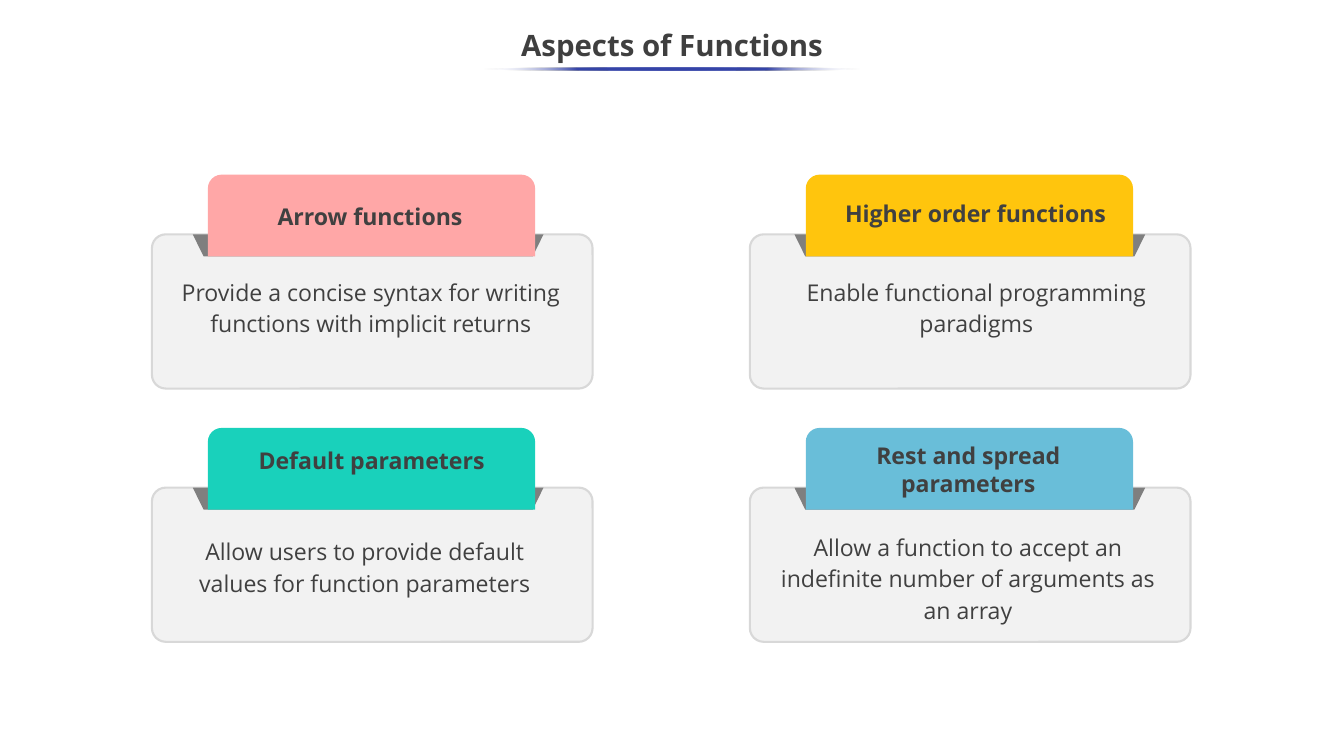
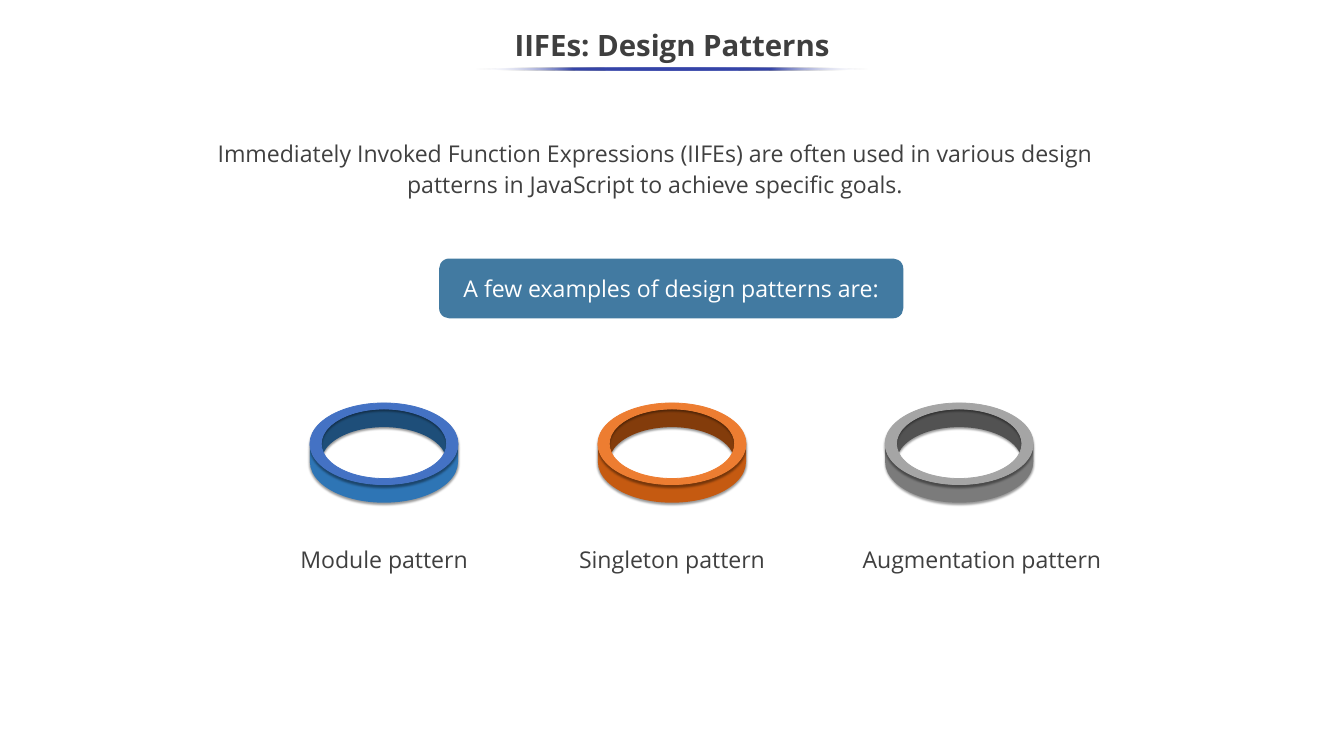
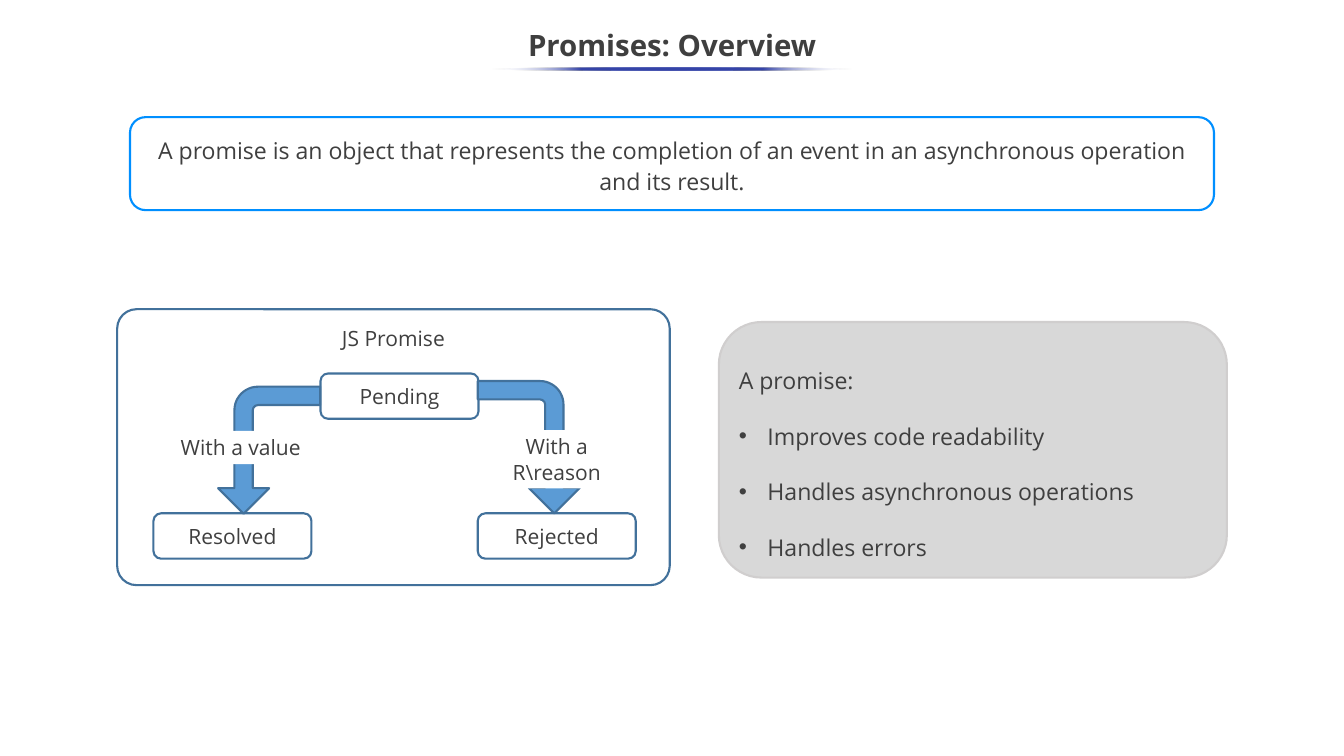
from dataclasses import dataclass
from math import cos, radians, sin

from pptx import Presentation
from pptx.dml.color import RGBColor
from pptx.enum.shapes import MSO_SHAPE
from pptx.enum.text import MSO_ANCHOR, MSO_AUTO_SIZE, PP_ALIGN
from pptx.oxml import parse_xml
from pptx.oxml.ns import nsdecls, qn
from pptx.util import Pt

PX = 9144  # EMU per px, 100 px to the inch
WIDTH, HEIGHT = 1778, 1000


@dataclass(frozen=True)
class Theme:
    font: str = "Open Sans"
    title_size: int = 28
    body_size: int = 22
    diagram_size: int = 20
    ink: str = "3F3F3F"
    soft_ink: str = "404040"
    white: str = "FFFFFF"
    underline: str = "3645A9"
    card: str = "F2F2F2"
    card_edge: str = "D8D8D8"
    fold: str = "7F7F7F"
    pink: str = "FFA7A7"
    yellow: str = "FFC50D"
    teal: str = "19D1BB"
    sky: str = "69BED9"
    banner: str = "427AA1"
    blue_ring: tuple = ("1E4E79", "2E75B5", "4472C4")
    orange_ring: tuple = ("833C0B", "C55A11", "ED7D31")
    grey_ring: tuple = ("525252", "7B7B7B", "A5A5A5")
    diagram_edge: str = "42719B"
    arrow: str = "5B9BD5"
    definition_edge: str = "008FFF"
    benefits: str = "D8D8D8"
    benefits_edge: str = "D0CECE"


theme = Theme()


def place(page, kind, box, fill=None, line=None, adjust=()):
    """Add a preset shape, or a text box when kind is None."""
    box = [length * PX for length in box]
    if kind is None:
        return page.shapes.add_textbox(*box)
    shape = page.shapes.add_shape(kind, *box)
    shape.shadow.inherit = False
    for index, value in enumerate(adjust):
        shape.adjustments[index] = value
    if fill:
        shape.fill.solid()
        shape.fill.fore_color.rgb = RGBColor.from_string(fill)
    else:
        shape.fill.background()
    if line:
        shape.line.color.rgb = RGBColor.from_string(line)
        shape.line.width = Pt(2)
    else:
        shape.line.fill.background()
    return shape


def write(shape, text, size=theme.body_size, colour=theme.ink, bold=False,
          spacing=None, anchor=MSO_ANCHOR.TOP, align=PP_ALIGN.CENTER):
    frame = shape.text_frame
    frame.text = text
    frame.word_wrap = True
    frame.auto_size = MSO_AUTO_SIZE.NONE
    frame.vertical_anchor = anchor
    for para in frame.paragraphs:
        para.alignment = align
        para.line_spacing = spacing
        for span in para.runs:
            span.font.name = theme.font
            span.font.size = Pt(size)
            span.font.bold = bold
            span.font.color.rgb = RGBColor.from_string(colour)


deck = Presentation()
deck.slide_width, deck.slide_height = WIDTH * PX, HEIGHT * PX

# Pages with their titles and fading underlines
pages = []
for title, underline_width in [("Aspects of Functions", 498),
                               ("IIFEs: Design Patterns", 520),
                               ("Promises: Overview", 478)]:
    page = deck.slides.add_slide(deck.slide_layouts[5])
    heading = page.shapes.title
    heading.left, heading.top = -PX, 25 * PX
    heading.width, heading.height = 1780 * PX, 75 * PX
    write(heading, title, theme.title_size, bold=True, spacing=0.9, anchor=MSO_ANCHOR.MIDDLE)

    underline = place(page, MSO_SHAPE.OVAL,
                      ((WIDTH - underline_width) // 2, 89, underline_width, 4))
    underline.fill.gradient()
    underline.fill.gradient_angle = 0
    stops = underline.element.spPr.find(qn("a:gradFill")).find(qn("a:gsLst"))
    for stop in list(stops):
        stops.remove(stop)
    for percent, colour, alpha in [(0, theme.white, 0), (25, theme.underline, 100),
                                   (75, theme.underline, 100), (100, theme.white, 0)]:
        stops.append(parse_xml(
            f'<a:gs {nsdecls("a")} pos="{percent * 1000}"><a:srgbClr val="{colour}">'
            f'<a:alpha val="{alpha * 1000}"/></a:srgbClr></a:gs>'))
    pages.append(page)
aspects, patterns, promises = pages

# Aspects of functions: two by two cards with folded tabs
cards = [
    (theme.pink, "Arrow functions", (273, 263, 433, 47),
     "Provide a concise syntax for writing functions with implicit returns",
     (218, 358, 545, 95)),
    (theme.yellow, "Higher order functions", (1074, 259, 433, 47),
     "Enable functional programming paradigms", (1002, 358, 579, 95)),
    (theme.teal, "Default parameters", (277, 586, 429, 47),
     "Allow users to provide default values for function parameters",
     (248, 701, 469, 95)),
    (theme.sky, "Rest and spread parameters", (1084, 579, 394, 84),
     "Allow a function to accept an indefinite number of arguments as an array",
     (1011, 695, 539, 137)),
]
for index, (colour, name, name_box, detail, detail_box) in enumerate(cards):
    row, column = divmod(index, 2)
    left, top = 201 + 791 * column, 310 + 335 * row
    place(aspects, MSO_SHAPE.ROUNDED_RECTANGLE, (left, top, 583, 204),
          theme.card, theme.card_edge, [0.09])
    fold = place(aspects, MSO_SHAPE.TRAPEZOID, (left + 54 + 5 * column, top, 464, 29),
                 theme.fold, adjust=[0.49])
    fold.rotation = 180
    place(aspects, MSO_SHAPE.ROUND_2_SAME_RECTANGLE, (left + 74, top - 79, 433, 108),
          colour, adjust=[0.17, 0])
    write(place(aspects, None, name_box), name, colour=theme.soft_ink, bold=True)
    write(place(aspects, None, detail_box), detail, colour=theme.soft_ink, spacing=1.14)

# Design patterns: introduction and banner
write(place(patterns, None, (235, 187, 1263, 67)),
      "Immediately Invoked Function Expressions (IIFEs) are often used in various design "
      "patterns in JavaScript to achieve specific goals.",
      colour=theme.soft_ink, spacing=1.14, anchor=MSO_ANCHOR.MIDDLE)
banner = place(patterns, MSO_SHAPE.ROUNDED_RECTANGLE, (581, 342, 614, 79), theme.banner)
write(banner, "A few examples of design patterns are:", colour=theme.white,
      anchor=MSO_ANCHOR.MIDDLE)

# Ring parts: contours made of arcs, each with radii, centre height and quarter angles
inner, outer, rim_y, base_y = (83, 46), (98, 54), 587, 611
full_turn = [0, 90, 180, 270, 360]
inside_wall = [[(inner, rim_y, [360, 270, 180]), (inner, base_y, [180, 270, 360])]]
outside_wall = [[(outer, rim_y, [0, 90, 180]), (outer, base_y, [180, 90, 0])]]
rim = [[(outer, rim_y, full_turn)], [(inner, rim_y, full_turn)]]

# Rings and their labels
rings = [
    ("Module pattern", 288, theme.blue_ring),
    ("Singleton pattern", 288, theme.orange_ring),
    ("Augmentation pattern", 348, theme.grey_ring),
]
for index, (name, name_width, colours) in enumerate(rings):
    shift = 381 * index - index // 2
    for contours, colour in zip((inside_wall, outside_wall, rim), colours):
        builder, turns = None, []
        for arcs in contours:
            points = []
            for (across, down), middle, angles in arcs:
                if points:
                    turns.append(None)  # straight step between two arcs
                points += [(508 + shift + across * cos(radians(angle)),
                            middle + down * sin(radians(angle))) for angle in angles]
                turns += [(across, down, start, end - start)
                          for start, end in zip(angles, angles[1:])]
            if builder is None:
                builder = patterns.shapes.build_freeform(*points[0], scale=PX)
            else:
                builder.move_to(*points[0])
            builder.add_line_segments(points[1:], close=True)
        part = builder.convert_to_shape()
        # Bend the straight segments into quarter arcs
        for segment, turn in zip(list(part.element.spPr.iter(qn("a:lnTo"))), turns):
            if turn:
                across, down, start, swing = turn
                segment.getparent().replace(segment, parse_xml(
                    f'<a:arcTo {nsdecls("a")} wR="{across}" hR="{down}" '
                    f'stAng="{start % 360 * 60000}" swAng="{swing * 60000}"/>'))
        part.fill.solid()
        part.fill.fore_color.rgb = RGBColor.from_string(colour)
        if contours is rim:
            part.line.color.rgb = RGBColor.from_string(colour)
            part.line.width = Pt(0.75)
        else:
            part.line.fill.background()
        part.shadow.inherit = False
        part.element.spPr.find(qn("a:effectLst")).append(parse_xml(
            f'<a:outerShdw {nsdecls("a")} blurRad="{Pt(2)}" dist="{Pt(2)}" dir="5400000">'
            '<a:srgbClr val="000000"><a:alpha val="40000"/></a:srgbClr></a:outerShdw>'))
    write(place(patterns, None, (364 + shift, 717, name_width, 47)), name)

# Promises: definition
definition = place(promises, MSO_SHAPE.ROUNDED_RECTANGLE, (172, 155, 1434, 123),
                   theme.white, theme.definition_edge)
write(definition,
      "A promise is an object that represents the completion of an event in an "
      "asynchronous operation and its result.", spacing=1.14, anchor=MSO_ANCHOR.MIDDLE)

# Promise states, the arrows between them and their labels
place(promises, MSO_SHAPE.ROUNDED_RECTANGLE, (155, 409, 731, 365),
      line=theme.diagram_edge, adjust=[0.07])
for state, left, top in [("Pending", 424, 494), ("Resolved", 203, 679),
                         ("Rejected", 632, 679)]:
    node = place(promises, MSO_SHAPE.ROUNDED_RECTANGLE, (left, top, 209, 60),
                 line=theme.diagram_edge)
    write(node, state, theme.diagram_size, anchor=MSO_ANCHOR.MIDDLE)
for box, rotation, flip in [((612, 524, 175, 135), 90, "0"),
                            ((272, 528, 168, 135), 270, "1")]:
    arrow = place(promises, MSO_SHAPE.BENT_ARROW, box, theme.arrow, theme.diagram_edge,
                  [0.18, 0.25, 0.25, 0.23])
    arrow.rotation = rotation
    arrow.element.spPr.xfrm.set("flipH", flip)
for label, box in [("With a value", (227, 570, 183, 44)),
                   (r"With a R\reason", (632, 569, 209, 77)),
                   ("JS Promise", (429, 426, 183, 44))]:
    write(place(promises, MSO_SHAPE.RECTANGLE, box, theme.white), label, theme.diagram_size)

# Benefits of a promise
benefits = place(promises, MSO_SHAPE.ROUNDED_RECTANGLE, (951, 426, 672, 338),
                 theme.benefits, theme.benefits_edge)
write(benefits, "\n".join(["A promise:", "Improves code readability",
                           "Handles asynchronous operations", "Handles errors"]),
      spacing=2, anchor=MSO_ANCHOR.MIDDLE, align=PP_ALIGN.LEFT)
for para in benefits.text_frame.paragraphs[1:]:
    settings = para._p.get_or_add_pPr()
    settings.set("marL", str(38 * PX))
    settings.set("indent", str(-38 * PX))
    for bullet in (f'<a:buClr {nsdecls("a")}><a:srgbClr val="{theme.soft_ink}"/></a:buClr>',
                   f'<a:buFont {nsdecls("a")} typeface="Arial"/>',
                   f'<a:buChar {nsdecls("a")} char="•"/>'):
        settings.append(parse_xml(bullet))

deck.save("out.pptx")
